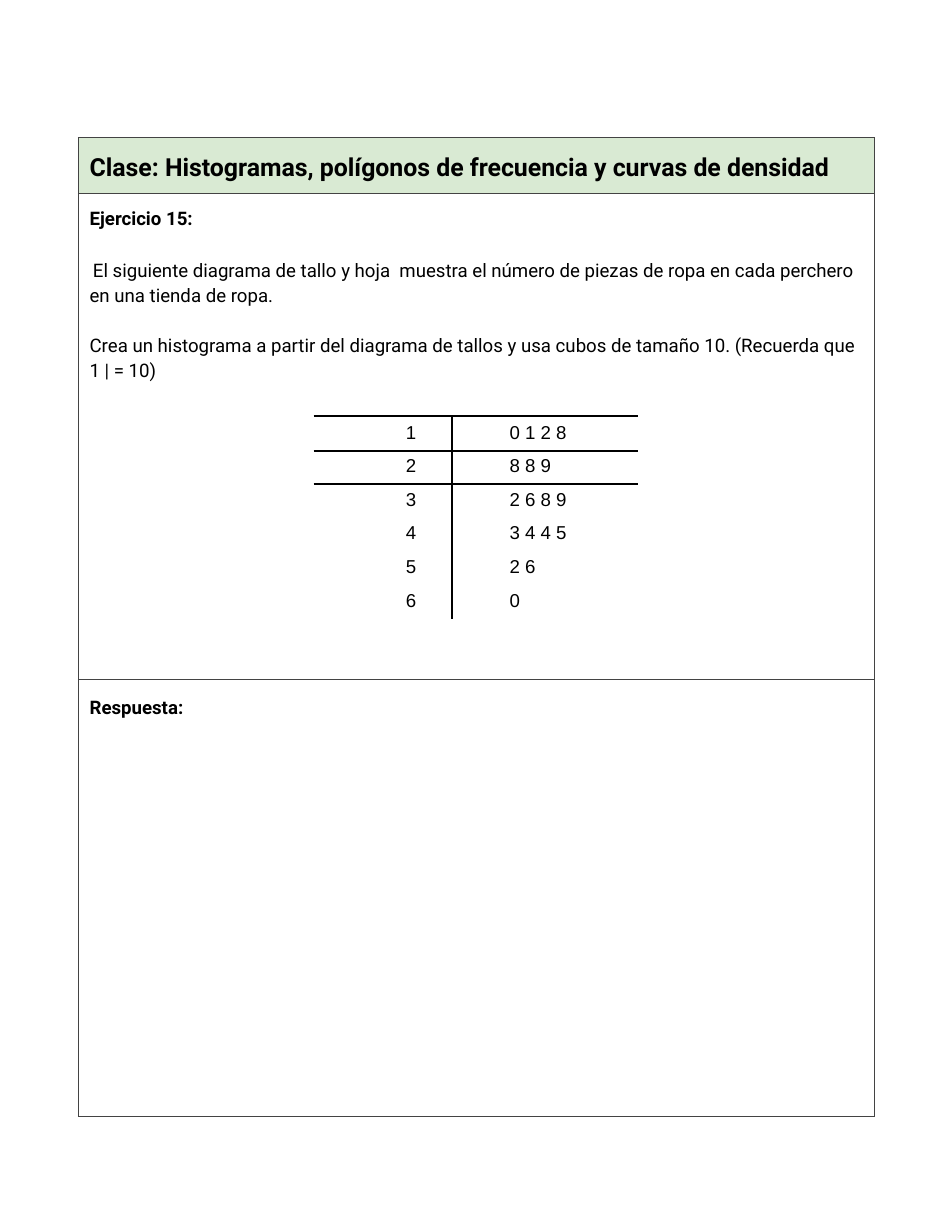
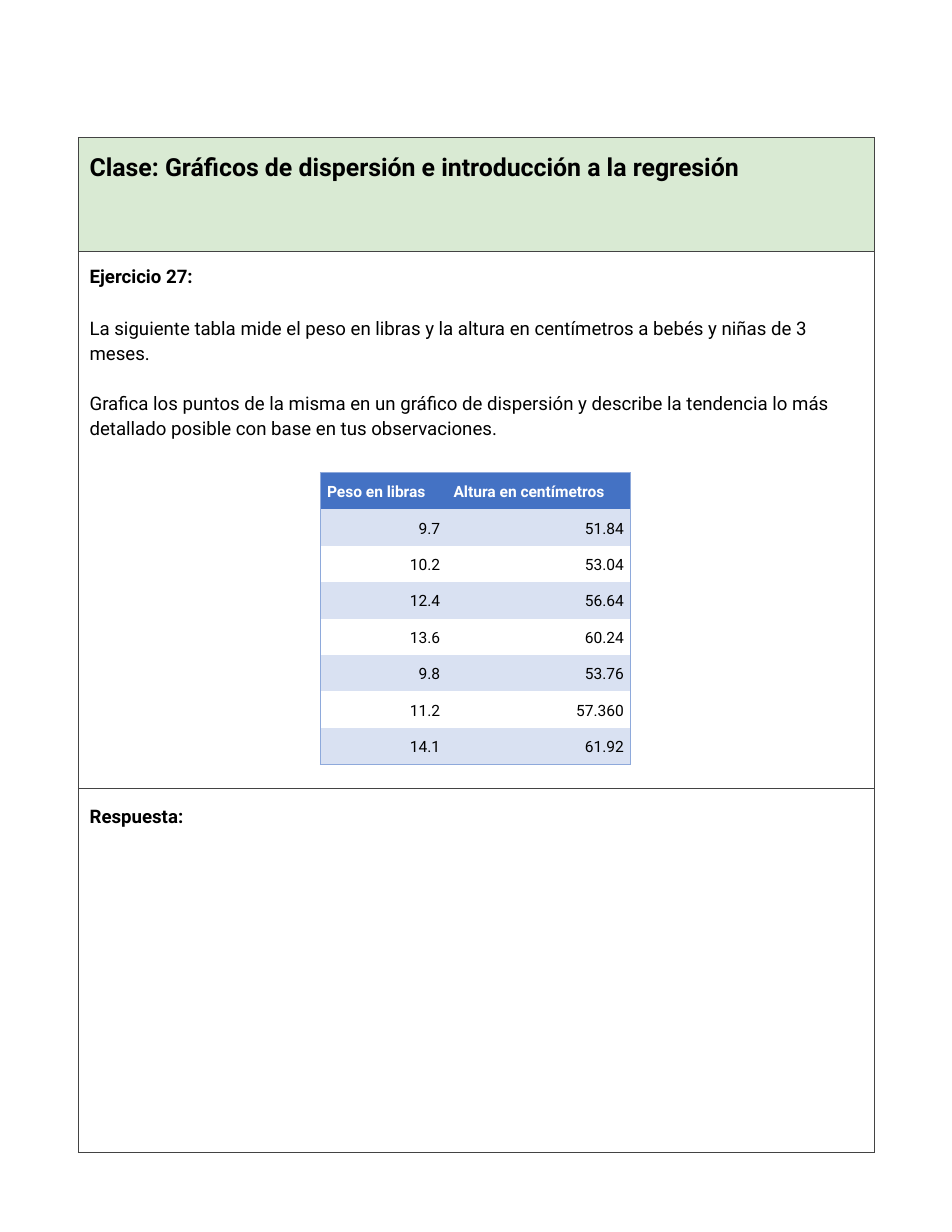
"""Build two statistics exercise sheets, each a framed page with a data table."""
import dataclasses

import lxml.etree
import pptx
import pptx.dml.color
import pptx.enum.text
import pptx.oxml.ns
import pptx.util

Inches = pptx.util.Inches
Pt = pptx.util.Pt
qn = pptx.oxml.ns.qn
ALIGN = pptx.enum.text.PP_ALIGN
ANCHOR = pptx.enum.text.MSO_ANCHOR

SHEETS = [
    {
        "title": "Clase: Histogramas, polígonos de frecuencia y curvas de densidad",
        "name": "Ejercicio 15:",
        "body": [
            "El siguiente diagrama de tallo y hoja  muestra el número de piezas de ropa "
            "en cada perchero en una tienda de ropa.",
            "Crea un histograma a partir del diagrama de tallos y usa cubos de tamaño 10. "
            "(Recuerda que 1 | = 10)",
        ],
        "indent": 0.03,
        "heights": [0.5, 4.34, 3.9],
    },
    {
        "title": "Clase: Gráficos de dispersión e introducción a la regresión",
        "name": "Ejercicio 27:",
        "body": [
            "La siguiente tabla mide el peso en libras y la altura en centímetros "
            "a bebés y niñas de 3 meses.",
            "Grafica los puntos de la misma en un gráfico de dispersión y describe la "
            "tendencia lo más detallado posible con base en tus observaciones.",
        ],
        "indent": 0,
        "heights": [1.02, 4.79, 3.25],
    },
]
ANSWER = "Respuesta:"

STEMS = [
    ("", ""),
    ("1", "0 1 2 8"),
    ("2", "8 8 9"),
    ("3", "2 6 8 9"),
    ("4", "3 4 4 5"),
    ("5", "2 6"),
    ("6", "0"),
]

BABIES = [
    ("Peso en libras", "Altura en centímetros"),
    ("9.7", "51.84"),
    ("10.2", "53.04"),
    ("12.4", "56.64"),
    ("13.6", "60.24"),
    ("9.8", "53.76"),
    ("11.2", "57.360"),
    ("14.1", "61.92"),
]


@dataclasses.dataclass(frozen=True)
class Theme:
    ink: str = "000000"
    white: str = "FFFFFF"
    frame: str = "434343"
    band: str = "D9EAD3"
    head: str = "4472C4"
    stripe: str = "D9E1F2"
    edge: str = "8EA9DB"
    font: str = "Roboto"
    plain: str = "Arial"
    title: int = 16
    text: int = 12
    small: int = 10
    thin: float = 0.75
    thick: float = 1.5
    lead: float = 1.15


THEME = Theme()
PLAIN_GRID = "{2D5ABB26-0587-4C30-8999-92F81FD0307C}"


def add_grid(slide, left, top, widths, heights):
    shape = slide.shapes.add_table(
        len(heights), len(widths), Inches(left), Inches(top),
        Inches(sum(widths)), Inches(sum(heights)))
    table = shape.table
    table.first_row = table.horz_banding = False
    table._tbl.tblPr.find(qn("a:tableStyleId")).text = PLAIN_GRID
    for col, width in zip(table.columns, widths):
        col.width = Inches(width)
    for row, height in zip(table.rows, heights):
        row.height = Inches(height)
    return table


def set_text(par, text, size, bold=False, color=THEME.ink, font=THEME.font):
    par.text = text
    par.line_spacing = THEME.lead
    par.font.name = font
    par.font.size = Pt(size)
    par.font.bold = bold
    par.font.color.rgb = pptx.dml.color.RGBColor.from_string(color)


def set_pad(cell, left, top, right, low):
    cell.margin_left, cell.margin_top = Inches(left), Inches(top)
    cell.margin_right, cell.margin_bottom = Inches(right), Inches(low)


def paint(cell, color):
    if color:
        cell.fill.solid()
        cell.fill.fore_color.rgb = pptx.dml.color.RGBColor.from_string(color)
    else:
        cell.fill.background()


def draw_edges(cell, sides, color, width):
    props = cell._tc.get_or_add_tcPr()
    for spot, side in enumerate(s for s in "LRTB" if s in sides):
        line = lxml.etree.Element(qn(f"a:ln{side}"), w=str(Pt(width)))
        fill = lxml.etree.SubElement(line, qn("a:solidFill"))
        lxml.etree.SubElement(fill, qn("a:srgbClr"), val=color)
        props.insert(spot, line)


def add_frame(slide, sheet):
    table = add_grid(slide, 0.7, 1.23, [7.11], sheet["heights"])
    cells = [table.cell(row, 0) for row in range(3)]
    for cell, color in zip(cells, (THEME.band, None, None)):
        set_pad(cell, 0.1, 0.1, 0.1, 0.1)
        paint(cell, color)
        draw_edges(cell, "LRTB", THEME.frame, THEME.thin)
    title, task, answer = cells
    set_text(title.text_frame.paragraphs[0], sheet["title"], THEME.title, True)
    set_text(task.text_frame.paragraphs[0], sheet["name"], THEME.text, True)
    for text, gap, indent in zip(sheet["body"], (17, 16), (sheet["indent"], 0)):
        par = task.text_frame.add_paragraph()
        set_text(par, text, THEME.text)
        par.space_before = Pt(gap)
        par._p.get_or_add_pPr().set("indent", str(Inches(indent)))
    answer.margin_top = Inches(0.13)
    set_text(answer.text_frame.paragraphs[0], ANSWER, THEME.text, True)


def add_stems(slide):
    table = add_grid(slide, 2.8, 3.39, [1.24, 1.66], [0.31] * 2 + [0.3] * 5)
    for row, pair in enumerate(STEMS):
        for col, text in enumerate(pair):
            cell = table.cell(row, col)
            paint(cell, None)
            set_pad(cell, 0.01, 0.01, 0.01, 0.07 if row else 0.01)
            cell.vertical_anchor = ANCHOR.BOTTOM
            sides = {0: "B", 1: "TB", 2: "T"}.get(row, "")
            if row:
                sides += "RL"[col]
            draw_edges(cell, sides, THEME.ink, THEME.thick)
            if text:
                par = cell.text_frame.paragraphs[0]
                set_text(par, text, THEME.text, font=THEME.plain)
                par.alignment = (ALIGN.CENTER, ALIGN.LEFT)[col]
                par._p.get_or_add_pPr().set("marL", str(Inches(0.5)))


def add_babies(slide):
    count = len(BABIES)
    table = add_grid(slide, 2.86, 4.22, [1.13, 1.64], [2.6 / count] * count)
    for row, pair in enumerate(BABIES):
        head = row == 0
        for col, text in enumerate(pair):
            cell = table.cell(row, col)
            paint(cell, THEME.head if head else THEME.stripe if row % 2 else None)
            set_pad(cell, 0.06, 0.07, 0.06, 0.07)
            cell.vertical_anchor = ANCHOR.BOTTOM
            sides = "LR"[col] + {0: "T", count - 1: "B"}.get(row, "")
            draw_edges(cell, sides, THEME.edge, THEME.thin)
            par = cell.text_frame.paragraphs[0]
            set_text(par, text, THEME.small, head, THEME.white if head else THEME.ink)
            par.alignment = ALIGN.LEFT if head else ALIGN.RIGHT


def main():
    deck = pptx.Presentation()
    deck.slide_width, deck.slide_height = Inches(8.5), Inches(11)
    for sheet, add_data in zip(SHEETS, (add_stems, add_babies)):
        slide = deck.slides.add_slide(deck.slide_layouts[6])
        add_frame(slide, sheet)
        add_data(slide)
    deck.save("out.pptx")


if __name__ == "__main__":
    main()
